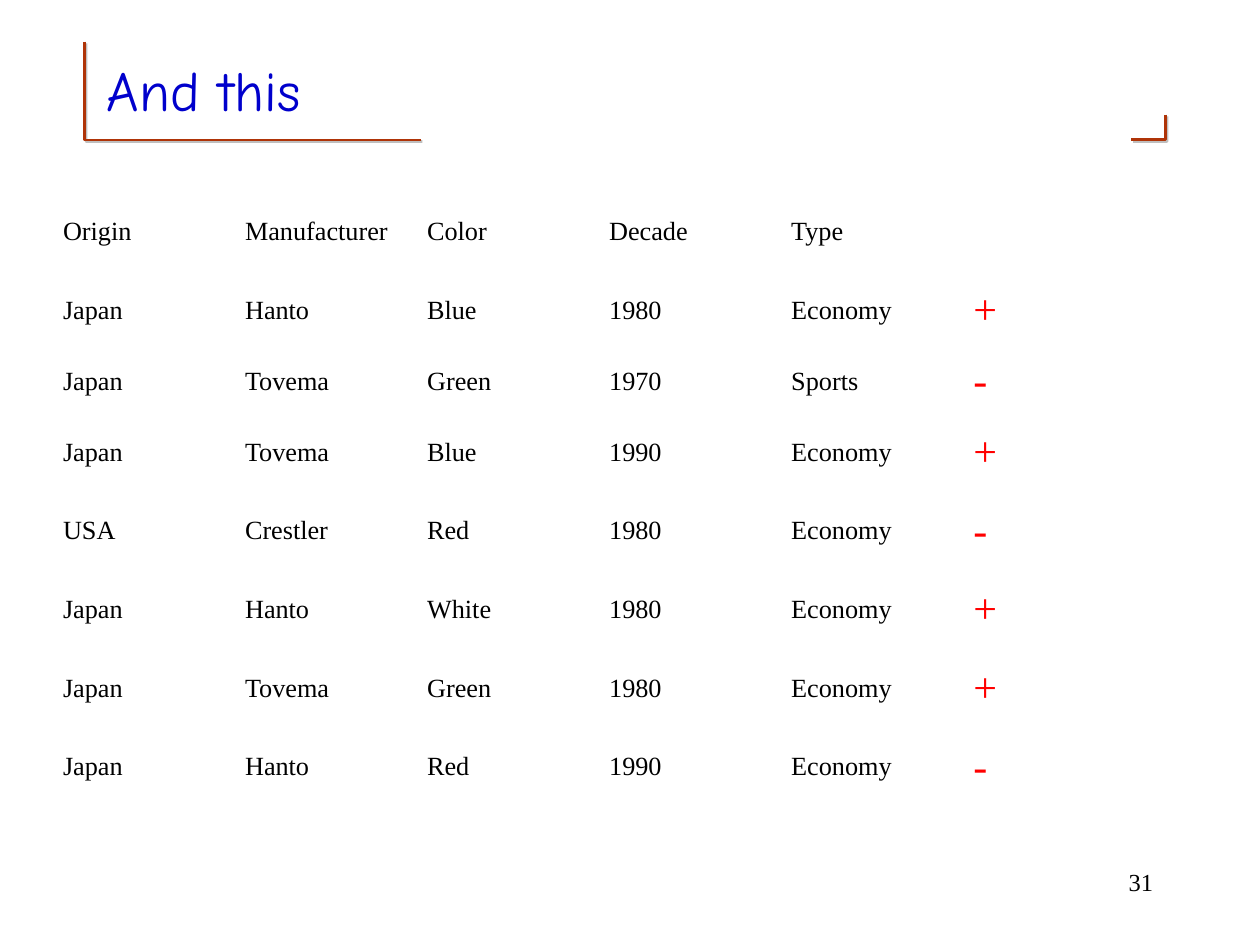
from lxml.etree import SubElement
from pptx import Presentation
from pptx.dml.color import RGBColor
from pptx.enum.text import MSO_ANCHOR, PP_ALIGN
from pptx.oxml.ns import qn
from pptx.util import Inches, Pt

EXAMPLES = [
    ("Origin", "Manufacturer", "Color", "Decade", "Type", ""),
    ("Japan", "Hanto", "Blue", "1980", "Economy", "+"),
    ("Japan", "Tovema", "Green", "1970", "Sports", "-"),
    ("Japan", "Tovema", "Blue", "1990", "Economy", "+"),
    ("USA", "Crestler", "Red", "1980", "Economy", "-"),
    ("Japan", "Hanto", "White", "1980", "Economy", "+"),
    ("Japan", "Tovema", "Green", "1980", "Economy", "+"),
    ("Japan", "Hanto", "Red", "1990", "Economy", "-"),
]
TABLE_HEIGHT = 4.85
SHORT_ROW, SHORT_HEIGHT = 2, 0.48


def color(code):
    return RGBColor.from_string(code)


class SlideBuilder:
    title_style = {"name": "Comic Neue", "size": Pt(32), "color": "0000CC"}
    number_style = {"name": "Times New Roman", "size": Pt(14), "color": "000000"}
    cell_style = {**number_style, "size": Pt(15)}
    label_style = {**number_style, "size": Pt(24), "color": "FF0000"}

    def __init__(self, slide):
        self.slide = slide

    def add_span(self, para, text, style):
        span = para.add_run()
        span.text = text
        for name, value in style.items():
            if name == "color":
                span.font.color.rgb = color(value)
            else:
                setattr(span.font, name, value)

    def text(self, place, text, style, frame_format=None, para_format=None):
        box = self.slide.shapes.add_textbox(*map(Inches, place))
        frame = box.text_frame
        para = frame.paragraphs[0]
        for name, value in {"word_wrap": True, **(frame_format or {})}.items():
            setattr(frame, name, value)
        for name, value in (para_format or {}).items():
            setattr(para, name, value)
        self.add_span(para, text, style)

    def corner(self, points):
        """Draw an open, right-angled rule with an offset shadow."""
        start, *rest = [(Inches(x), Inches(y)) for x, y in points]
        builder = self.slide.shapes.build_freeform(*start)
        builder.add_line_segments(rest, close=False)
        shape = builder.convert_to_shape()
        shape.fill.background()
        shape.line.color.rgb = color("AF3408")
        shape.line.width = Pt(1.5)
        shape.shadow.inherit = False
        effects = shape.element.spPr.find(qn("a:effectLst"))
        shadow = SubElement(effects, qn("a:outerShdw"), blurRad="0",
                            dist=str(Pt(1.4)), dir=str(45 * 60000))
        shade = SubElement(shadow, qn("a:srgbClr"), val="808080")
        SubElement(shade, qn("a:alpha"), val="50000")

    def table(self, place, rows):
        table = self.slide.shapes.add_table(
            len(rows), len(rows[0]), *map(Inches, place)).table
        table.first_row = table.horz_banding = False
        tall = (TABLE_HEIGHT - SHORT_HEIGHT) / (len(rows) - 1)
        cell_format = {
            "vertical_anchor": MSO_ANCHOR.MIDDLE,
            "margin_left": Inches(0.08), "margin_right": Inches(0.08),
            "margin_top": Inches(0.05), "margin_bottom": Inches(0.05),
        }
        for row_index, row in enumerate(rows):
            height = SHORT_HEIGHT if row_index == SHORT_ROW else tall
            table.rows[row_index].height = Inches(height)
            for column_index, text in enumerate(row):
                cell = table.cell(row_index, column_index)
                cell.fill.background()
                for name, value in cell_format.items():
                    setattr(cell, name, value)
                if text:
                    style = self.label_style if text in "+-" else self.cell_style
                    self.add_span(cell.text_frame.paragraphs[0], text, style)


def main():
    deck = Presentation()
    deck.slide_width, deck.slide_height = Inches(10), Inches(7.5)
    page = SlideBuilder(deck.slides.add_slide(deck.slide_layouts[6]))
    page.corner([(0.67, 0.33), (0.67, 1.11), (3.34, 1.11)])
    page.corner([(9.25, 0.91), (9.25, 1.11), (8.98, 1.11)])
    page.text((0.75, 0.25, 8.5, 0.92), "And this", page.title_style,
              frame_format={"vertical_anchor": MSO_ANCHOR.MIDDLE})
    page.text((7.17, 6.83, 2.08, 0.5), "31", page.number_style,
              para_format={"alignment": PP_ALIGN.RIGHT, "space_before": Pt(8.8)})
    page.table((0.42, 1.53, 8.67, TABLE_HEIGHT), EXAMPLES)
    deck.save("out.pptx")


if __name__ == "__main__":
    main()
